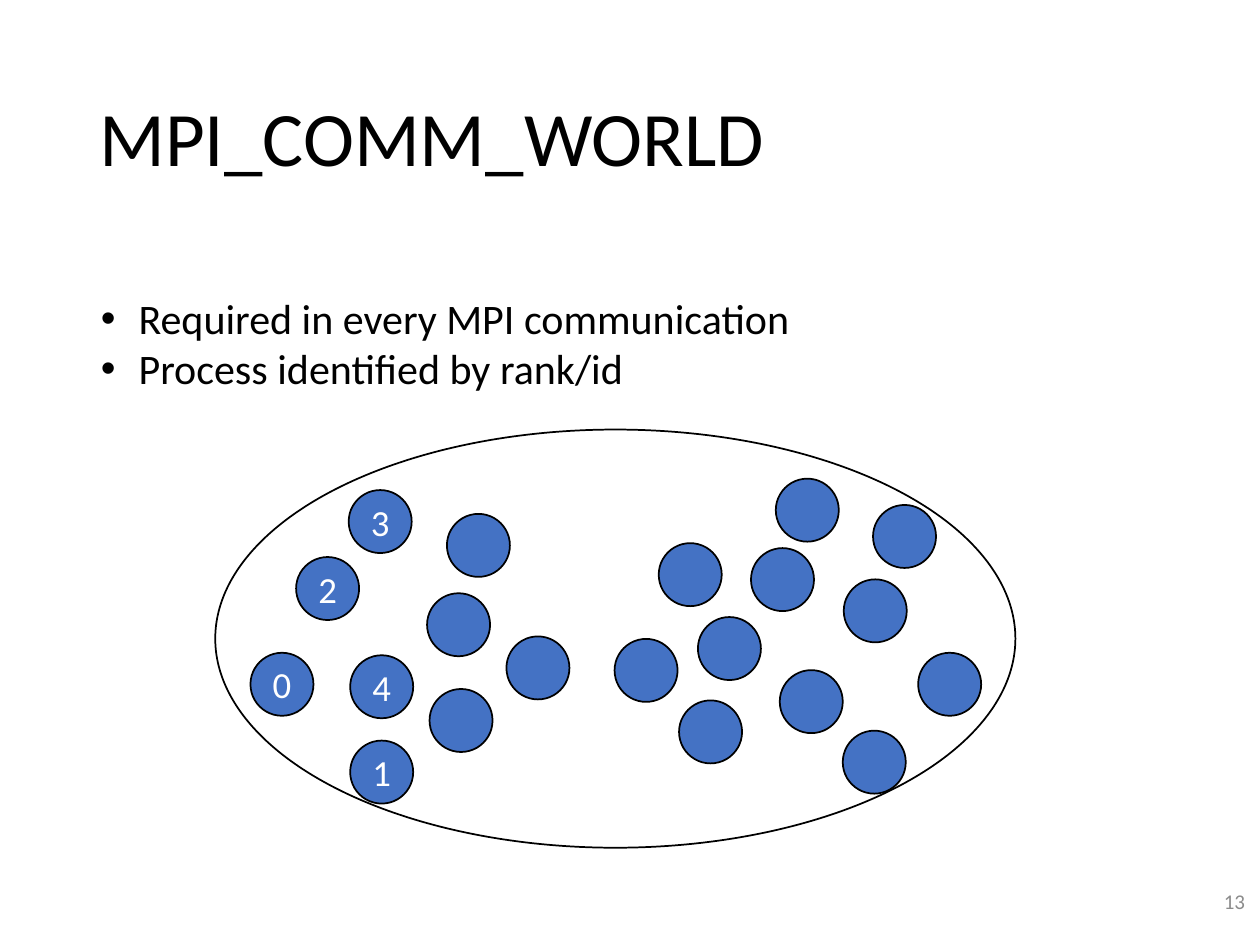
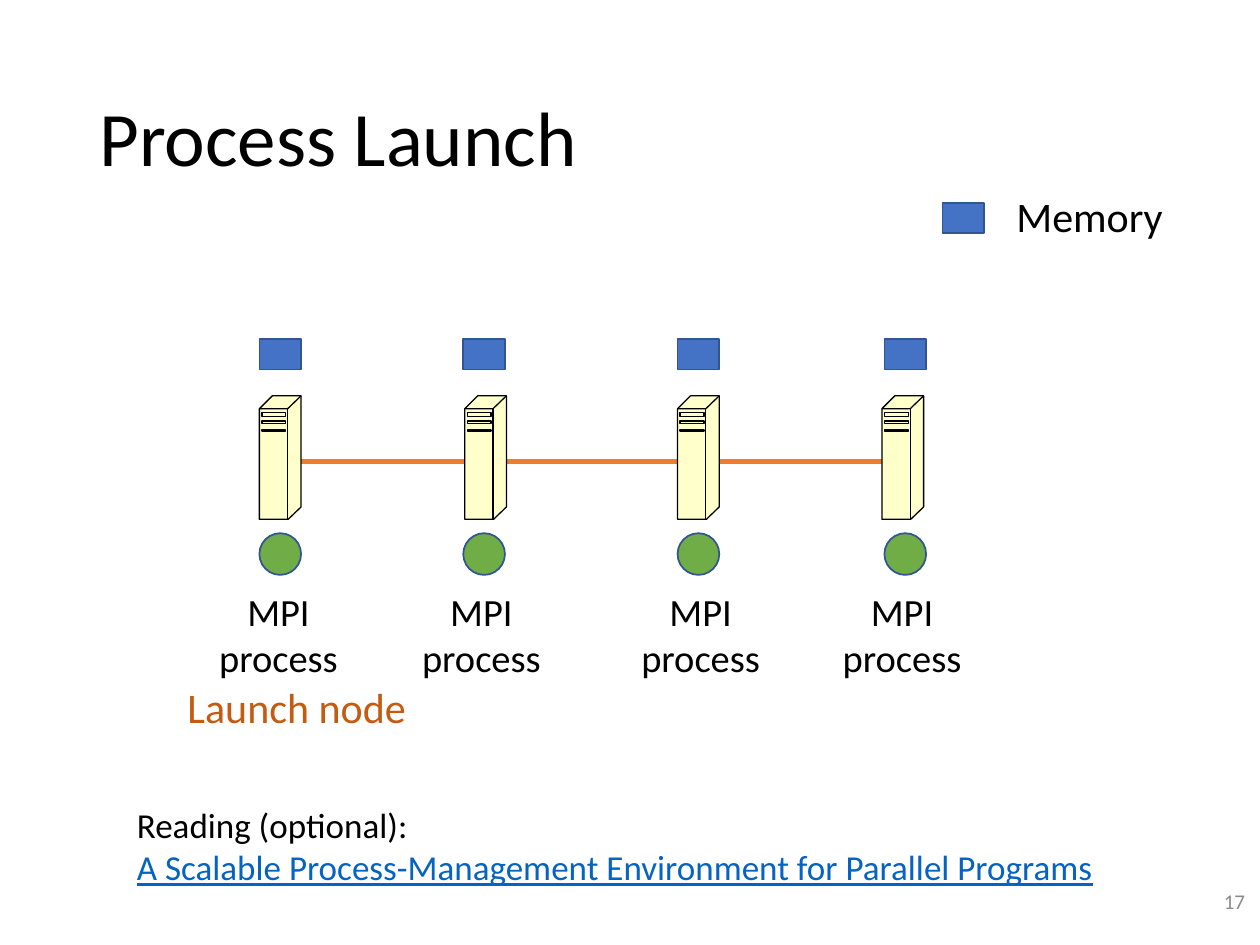
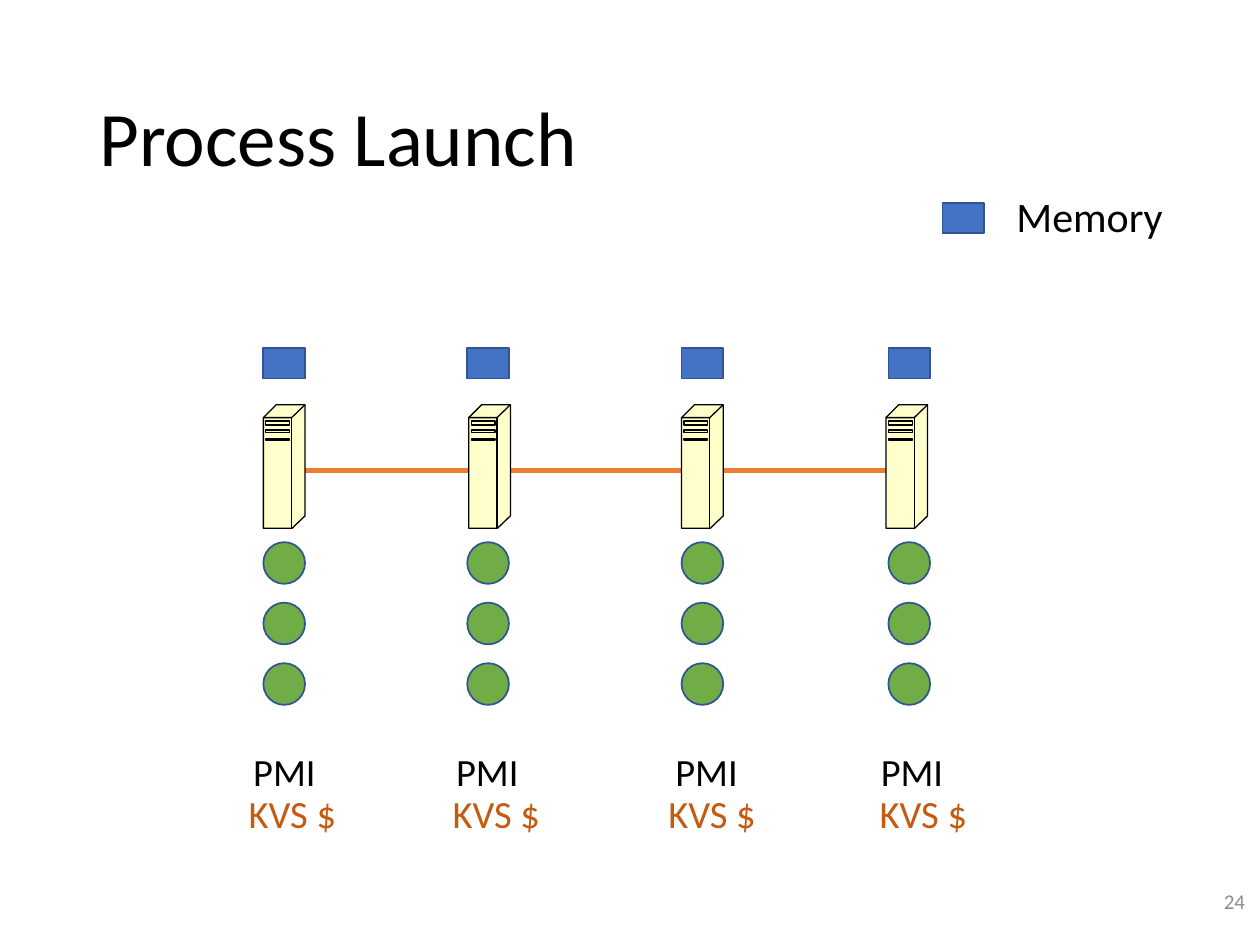
from lxml.etree import SubElement
from pptx import Presentation
from pptx.dml.color import RGBColor
from pptx.enum.shapes import MSO_CONNECTOR, MSO_SHAPE
from pptx.enum.text import MSO_ANCHOR, MSO_AUTO_SIZE, PP_ALIGN
from pptx.oxml.ns import qn
from pptx.util import Cm, Pt

FONT = "Calibri"
BLACK, WHITE, GREY = "000000", "FFFFFF", "8C8C8C"
BLUE, DARK_BLUE, GREEN = "4472C4", "325491", "70AD47"
ORANGE, DARK_ORANGE, CREAM, LINK_BLUE = "ED7D31", "C55A11", "FFFFCC", "0563C1"
TITLE_ONLY, TITLE_AND_BODY = 5, 1

NUMBERED_PROCESSES = [(0.71, 4.5), (2.72, 6.27), (1.63, 2.57), (2.69, 1.22), (2.72, 4.55)]
OTHER_PROCESSES = [
    (4.27, 3.3), (5.87, 4.17), (9.35, 5.46), (4.67, 1.7), (8.94, 2.29),
    (9.73, 3.78), (11.38, 4.85), (10.8, 2.39), (4.32, 5.23), (11.3, 0.99),
    (13.26, 1.52), (12.67, 3.02), (14.17, 4.5), (12.65, 6.07), (8.05, 4.22),
]

NODE_WIDTH, MEMORY_HEIGHT = 0.84, 0.61
TOWER_OFFSETS = [0, 4.14, 8.43, 12.55]
PART_OFFSETS = [0, 4.11, 8.43, 12.6]
TOWER_TOP, LINK_TOP, PROCESS_TOP, PROCESS_STEP = 1.14, 2.46, 3.91, 1.22
TOWER_OUTLINE = [(0, 26), (26, 0), (84, 0), (84, 224), (58, 249), (0, 249)]
TOWER_EDGES = [[(0, 26), (57, 26), (84, 0)], [(57, 26), (57, 249)]]
TOWER_SLOTS = [(33, 41), (51, 56), (69, 71)]


def color(hex_code):
    """Turn a hex string into a colour."""
    return RGBColor.from_string(hex_code)


def box(left, top, width, height):
    """Turn centimetres into the four lengths of a box."""
    return Cm(left), Cm(top), Cm(width), Cm(height)


def style_font(font, size, hex_code):
    """Set the shared typeface with a size and colour."""
    font.name = FONT
    font.size = Pt(size)
    font.color.rgb = color(hex_code)


def style_shape(shape, fill, line, weight=1):
    """Set fill and outline without a shadow; no fill when fill is None."""
    shape.shadow.inherit = False
    if fill:
        shape.fill.solid()
        shape.fill.fore_color.rgb = color(fill)
    else:
        shape.fill.background()
    shape.line.color.rgb = color(line)
    shape.line.width = Pt(weight)


def add_preset(slide, kind, bounds, fill, line):
    """Add a preset shape."""
    shape = slide.shapes.add_shape(kind, *box(*bounds))
    style_shape(shape, fill, line)
    return shape


def add_text(slide, bounds, lines, size, hex_code=BLACK, alignment=PP_ALIGN.LEFT):
    """Add a wrapped text box with one paragraph per line."""
    frame = slide.shapes.add_textbox(*box(*bounds)).text_frame
    frame.word_wrap = True
    frame.text = "\n".join(lines)
    for paragraph in frame.paragraphs:
        paragraph.alignment = alignment
        style_font(paragraph.font, size, hex_code)
    return frame


def add_titled_slide(presentation, layout, title, number):
    """Add a slide with its title and page number."""
    slide = presentation.slides.add_slide(presentation.slide_layouts[layout])
    shape = slide.shapes.title
    shape.left, shape.top, shape.width, shape.height = box(1.75, 1.02, 21.89, 3.68)
    frame = shape.text_frame
    frame.text = title
    frame.auto_size = MSO_AUTO_SIZE.NONE
    frame.vertical_anchor = MSO_ANCHOR.MIDDLE
    paragraph = frame.paragraphs[0]
    paragraph.alignment = PP_ALIGN.LEFT
    paragraph.line_spacing = 0.9
    style_font(paragraph.font, 44, BLACK)
    footer = add_text(slide, (19.63, 17.65, 5.72, 1.02), [str(number)], 12, GREY, PP_ALIGN.RIGHT)
    footer.vertical_anchor = MSO_ANCHOR.MIDDLE
    return slide


def fill_bullets(shape, bounds, lines):
    """Move the body placeholder and write its bullet list."""
    shape.left, shape.top, shape.width, shape.height = box(*bounds)
    frame = shape.text_frame
    frame.auto_size = MSO_AUTO_SIZE.NONE
    frame.text = "\n".join(lines)
    for paragraph in frame.paragraphs:
        properties = paragraph._p.get_or_add_pPr()
        properties.set("marL", str(Cm(0.76)))
        properties.set("indent", str(-Cm(0.76)))
        paragraph.space_before = Pt(0)
        style_font(paragraph.font, 24, BLACK)


def add_process(slide, left, top, rank):
    """Add one process circle, with its rank if it has one."""
    shape = add_preset(slide, MSO_SHAPE.OVAL, (left, top, 1.27, 1.27), BLUE, BLACK)
    if rank is None:
        return
    frame = shape.text_frame
    frame.margin_left = frame.margin_right = frame.margin_top = frame.margin_bottom = 0
    frame.vertical_anchor = MSO_ANCHOR.MIDDLE
    frame.text = str(rank)
    paragraph = frame.paragraphs[0]
    paragraph.alignment = PP_ALIGN.CENTER
    style_font(paragraph.font, 21, WHITE)


def add_communicator(slide, left, top, width, height):
    """Add the communicator ellipse and the processes in it."""
    add_preset(slide, MSO_SHAPE.OVAL, (left, top, width, height), WHITE, BLACK)
    for rank, (x, y) in enumerate(NUMBERED_PROCESSES):
        add_process(slide, left + x, top + y, rank)
    for x, y in OTHER_PROCESSES:
        add_process(slide, left + x, top + y, None)


def add_outline(slide, left, top, contours, fill, close):
    """Add a freeform from contours given in hundredths of a centimetre."""
    builder = slide.shapes.build_freeform(*contours[0][0], scale=Cm(0.01))
    for index, contour in enumerate(contours):
        if index:
            builder.move_to(*contour[0])
        builder.add_line_segments(contour[1:], close=close)
    style_shape(builder.convert_to_shape(Cm(left), Cm(top)), fill, BLACK, 0.75)


def add_tower(slide, left, top):
    """Add a computer tower with its edges and drive slots."""
    slots = [[(5, y1), (53, y1), (53, y2), (5, y2), (5, y1)] for y1, y2 in TOWER_SLOTS]
    add_outline(slide, left, top, [TOWER_OUTLINE], CREAM, True)
    add_outline(slide, left, top, TOWER_EDGES + slots, None, False)


def add_memory(slide, left, top):
    """Add one memory block."""
    add_preset(slide, MSO_SHAPE.RECTANGLE, (left, top, NODE_WIDTH, MEMORY_HEIGHT), BLUE, DARK_BLUE)


def add_cluster(slide, left, top, processes):
    """Add linked nodes, each with memory above and processes below."""
    link_y = Cm(top + LINK_TOP)
    link = slide.shapes.add_connector(
        MSO_CONNECTOR.STRAIGHT, Cm(left), link_y,
        Cm(left + TOWER_OFFSETS[-1] + NODE_WIDTH), link_y)
    link.line.color.rgb = color(ORANGE)
    link.line.width = Pt(3)
    SubElement(link._element.spPr, qn("a:effectLst"))
    for tower_offset, part_offset in zip(TOWER_OFFSETS, PART_OFFSETS):
        add_tower(slide, left + tower_offset, top + TOWER_TOP)
        add_memory(slide, left + part_offset, top)
        for row in range(processes):
            process_top = top + PROCESS_TOP + row * PROCESS_STEP
            add_preset(slide, MSO_SHAPE.OVAL,
                       (left + part_offset, process_top, NODE_WIDTH, NODE_WIDTH), GREEN, DARK_BLUE)


def add_label_row(slide, text, lefts, top, height, hex_code=BLACK):
    """Repeat a centred label under the nodes."""
    for left in lefts:
        add_text(slide, (left, top, 3.91, height), [text], 22, hex_code, PP_ALIGN.CENTER)


def add_legend(slide, left, top):
    """Add the memory legend."""
    add_memory(slide, left, top + 0.38)
    add_text(slide, (left + 1.24, top, 3.48, 1.27), ["Memory"], 24)


def build_communicator_slide(presentation):
    """Build the slide about the world communicator."""
    slide = add_titled_slide(presentation, TITLE_AND_BODY, "MPI_COMM_WORLD", 13)
    fill_bullets(slide.placeholders[1], (1.78, 5.77, 14.53, 2.31),
                 ["Required in every MPI communication", "Process identified by rank/id"])
    add_communicator(slide, 4.34, 8.66, 16.13, 8.43)


def build_launch_slide(presentation, number, left, top, processes):
    """Build a process launch slide with its legend and cluster."""
    slide = add_titled_slide(presentation, TITLE_ONLY, "Process Launch", number)
    add_legend(slide, 19, 3.71)
    add_cluster(slide, left, top, processes)
    return slide


def add_reading(slide, bounds):
    """Add the optional reading with its underlined title."""
    frame = add_text(slide, bounds, [
        "Reading (optional):",
        "A Scalable Process-Management Environment for Parallel Programs"], 20)
    font = frame.paragraphs[1].runs[0].font
    style_font(font, 20, LINK_BLUE)
    font.underline = True


def main():
    """Build the three slides and save them."""
    presentation = Presentation()
    presentation.slide_width, presentation.slide_height = Cm(25.4), Cm(19.05)
    build_communicator_slide(presentation)

    single = build_launch_slide(presentation, 17, 5.23, 6.84, 1)
    add_label_row(single, "MPI process", [3.66, 7.75, 12.17, 16.23], 11.73, 2.13)
    add_text(single, (3.53, 13.61, 5.08, 1.27), ["Launch node"], 24, DARK_ORANGE)
    add_reading(single, (2.51, 16.08, 20.09, 1.96))

    triple = build_launch_slide(presentation, 24, 5.31, 7.02, 3)
    add_label_row(triple, "PMI", [3.78, 7.87, 12.29, 16.43], 14.96, 1.19)
    add_label_row(triple, "KVS $", [3.94, 8.05, 12.4, 16.66], 15.8, 1.19, DARK_ORANGE)
    presentation.save("out.pptx")


if __name__ == "__main__":
    main()
